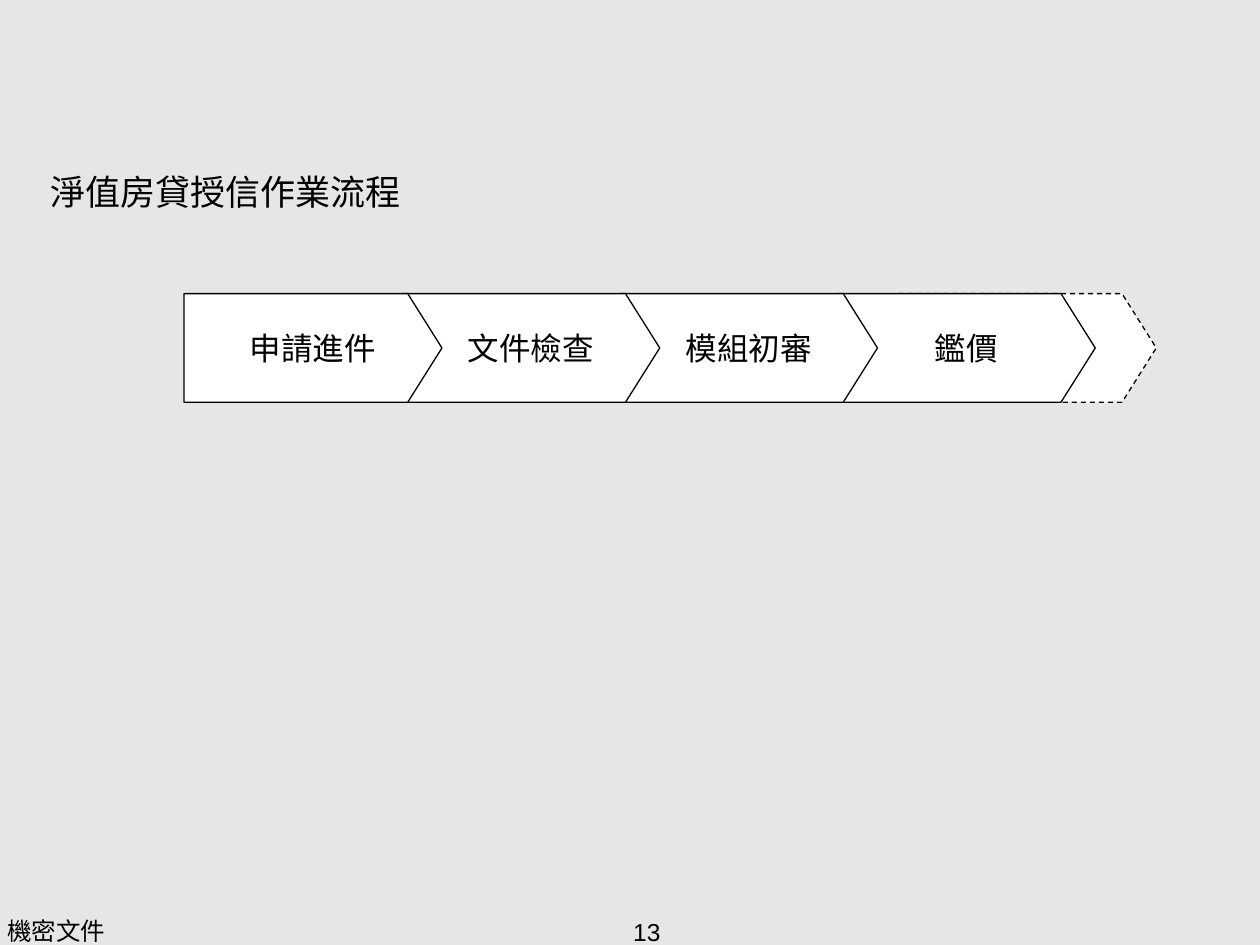
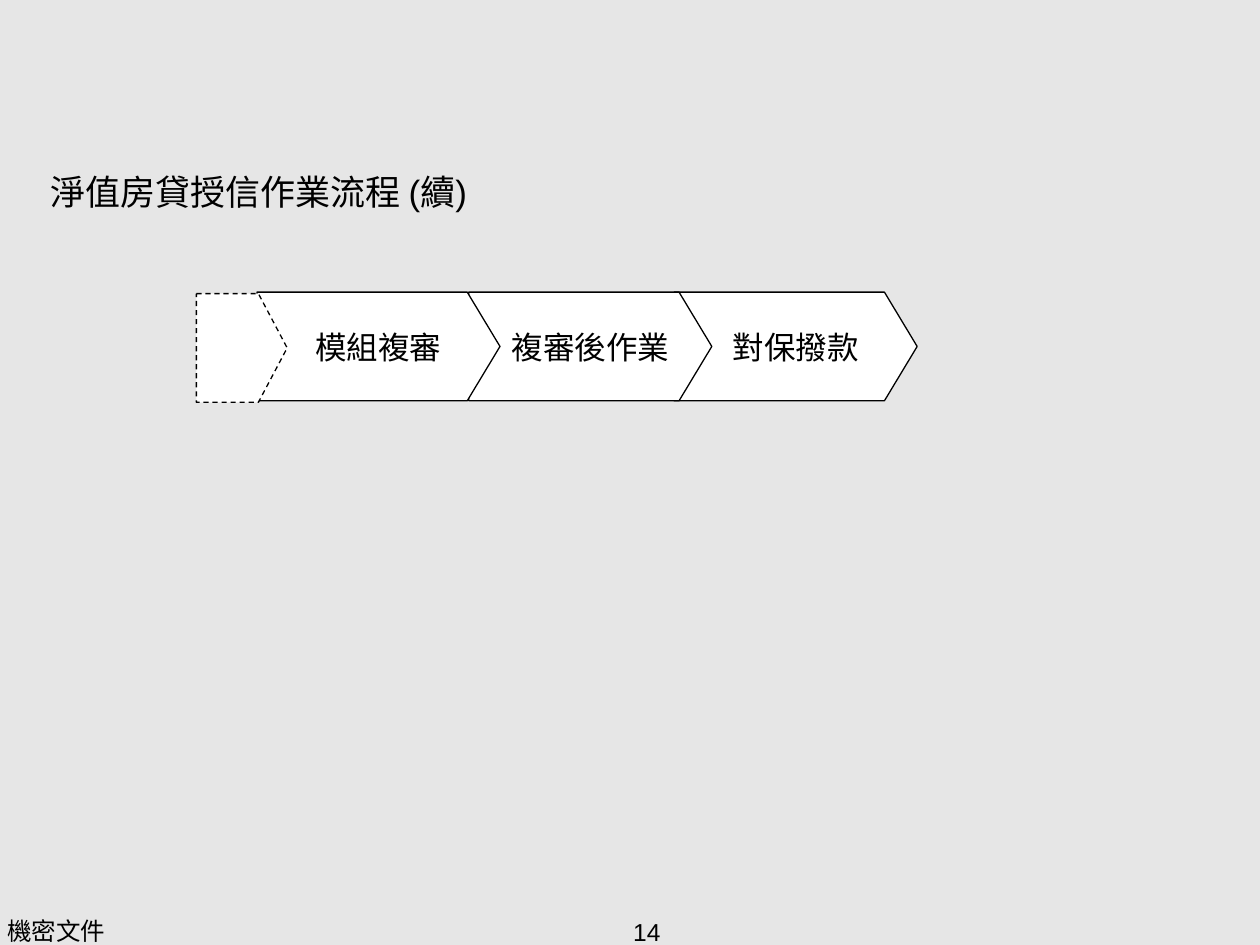
from pptx import Presentation
from pptx.dml.color import RGBColor
from pptx.enum.dml import MSO_LINE
from pptx.enum.text import MSO_ANCHOR, PP_ALIGN
from pptx.util import Cm, Pt

INK, PAPER, GREY = "000000", "FFFFFF", "E6E6E6"
HIGH = 2.19
PAD = (0.25, 0.13)
rgb = RGBColor.from_string


def write(shape, text, size, align=PP_ALIGN.LEFT, pad=PAD, **look):
    """Put one styled line of text in a shape; look holds frame settings."""
    frame = shape.text_frame
    side, edge = (Cm(v) for v in pad)
    form = dict(margin_left=side, margin_right=side, margin_top=edge,
                margin_bottom=edge, word_wrap=True,
                vertical_anchor=MSO_ANCHOR.TOP)
    for name, value in {**form, **look}.items():
        setattr(frame, name, value)
    line = frame.paragraphs[0]
    line.alignment = align
    run = line.add_run()
    run.text = text
    for name, value in dict(name="Arial", size=Pt(size)).items():
        setattr(run.font, name, value)
    run.font.color.rgb = rgb(INK)


def arrow(shapes, text, left, top, width, tip):
    """Draw a box with a pointed right end; without text it is dashed."""
    neck, right = left + width - tip, left + width
    pen = shapes.build_freeform(Cm(left), Cm(top))
    points = [(neck, top), (right, top + HIGH / 2),
              (neck, top + HIGH), (left, top + HIGH)]
    pen.add_line_segments([(Cm(x), Cm(y)) for x, y in points], close=True)
    shape = pen.convert_to_shape()
    shape.shadow.inherit = False
    shape.fill.solid()
    shape.fill.fore_color.rgb = rgb(PAPER)
    shape.line.color.rgb = rgb(INK)
    shape.line.width = Pt(0.75)
    if text:
        write(shape, text, 18, PP_ALIGN.CENTER, word_wrap=False,
              vertical_anchor=MSO_ANCHOR.MIDDLE)
    else:
        shape.line.dash_style = MSO_LINE.DASH


# Steps run from back to front: each arrow overlaps the one to its right.
first = ["申請進件", "文件檢查", "模組初審", "鑑價"]
start = [("", 18.11, 5.92, 5.2, 0.69)]
start += [(text, 3.71 + 4.39 * i, 5.92, 5.2, 0.69)
          for i, text in reversed(list(enumerate(first)))]
after = [("對保撥款", 13.59), ("複審後作業", 9.45), ("模組複審", 5.18)]
rest = [(text, left, 5.89, 4.9, 0.66) for text, left in after]
rest += [("", 3.96, 5.92, 1.83, 0.58)]

pages = [("淨值房貸授信作業流程", start),
         ("淨值房貸授信作業流程 (續)", rest)]

deck = Presentation()
deck.slide_width, deck.slide_height = Cm(25.4), Cm(19.05)
back = deck.slide_master.background.fill
back.solid()
back.fore_color.rgb = rgb(GREY)

for page, (title, steps) in enumerate(pages, 13):
    shapes = deck.slides.add_slide(deck.slide_layouts[6]).shapes
    labels = [
        (title, 20, (0.76, 3.3, 22.86, 1.02), {}),
        ("機密文件", 14, (0.15, 18.47, 7.24, 0.58), dict(pad=(0, 0))),
        (str(page), 14, (10.08, 18.36, 5.92, 0.69),
         dict(align=PP_ALIGN.CENTER)),
    ]
    for text, size, place, look in labels:
        box = shapes.add_textbox(*(Cm(v) for v in place))
        write(box, text, size, **look)
    for step in steps:
        arrow(shapes, *step)

deck.save("out.pptx")
